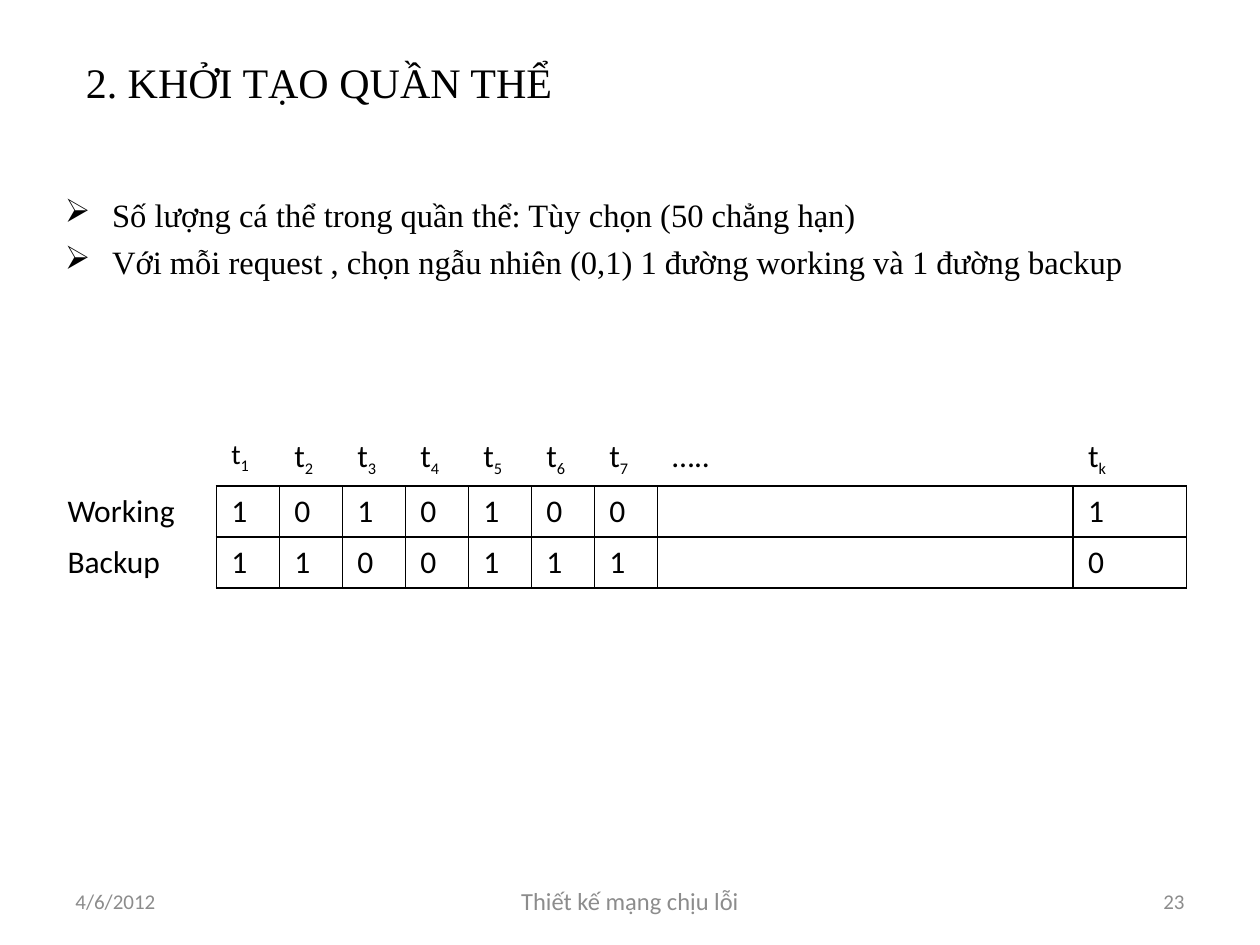
from dataclasses import dataclass

from lxml import etree
from pptx import Presentation
from pptx.dml.color import RGBColor
from pptx.enum.text import MSO_ANCHOR, MSO_AUTO_SIZE, PP_ALIGN
from pptx.oxml.ns import qn
from pptx.util import Pt


@dataclass(frozen=True)
class Theme:
    ink: str = "000000"
    muted: str = "8C8C8C"
    serif: str = "Times New Roman"
    sans: str = "Calibri"
    title: float = 24
    body: float = 18.6
    cell: float = 18
    index: float = 16
    footer: float = 14
    small: float = 12


class SlideBuilder:
    def __init__(self, slide, theme):
        self.slide = slide
        self.theme = theme

    def run(self, paragraph, text, size, font, color, baseline=0):
        run = paragraph.add_run()
        run.text = text
        run.font.size = Pt(size)
        run.font.name = font
        run.font.color.rgb = RGBColor.from_string(color)
        if baseline:
            run.font._element.set("baseline", str(baseline * 1000))

    def title(self, text, left, top, width, height):
        shape = self.slide.shapes.title
        shape.left, shape.top = Pt(left), Pt(top)
        shape.width, shape.height = Pt(width), Pt(height)
        frame = shape.text_frame
        frame.auto_size = MSO_AUTO_SIZE.NONE
        frame.vertical_anchor = MSO_ANCHOR.MIDDLE
        paragraph = frame.paragraphs[0]
        paragraph.alignment = PP_ALIGN.LEFT
        self.run(paragraph, text, self.theme.title, self.theme.serif, self.theme.ink)

    def text_frame(self, left, top, width, height, anchor):
        box = self.slide.shapes.add_textbox(Pt(left), Pt(top), Pt(width), Pt(height))
        box.text_frame.word_wrap = True
        box.text_frame.vertical_anchor = anchor
        return box.text_frame

    def bullets(self, lines, left, top, width, height, indent=27):
        frame = self.text_frame(left, top, width, height, MSO_ANCHOR.TOP)
        for i, line in enumerate(lines):
            paragraph = frame.add_paragraph() if i else frame.paragraphs[0]
            paragraph.space_before = Pt(4.5)
            props = paragraph._p.get_or_add_pPr()
            props.set("marL", str(Pt(indent)))
            props.set("indent", str(-Pt(indent)))
            etree.SubElement(props, qn("a:buChar")).set("char", "➢")
            self.run(paragraph, line, self.theme.body, self.theme.serif, self.theme.ink)

    def footer(self, text, left, width, size, align):
        frame = self.text_frame(left, 500.4, width, 28.8, MSO_ANCHOR.MIDDLE)
        frame.paragraphs[0].alignment = align
        self.run(frame.paragraphs[0], text, size, self.theme.sans, self.theme.muted)

    def borders(self, cell, sides):
        props = cell._tc.get_or_add_tcPr()
        for side in "LRTB":
            line = etree.SubElement(props, qn(f"a:ln{side}"), w=str(Pt(1)))
            if side in sides:
                fill = etree.SubElement(line, qn("a:solidFill"))
                etree.SubElement(fill, qn("a:srgbClr"), val=self.theme.ink)
            else:
                etree.SubElement(line, qn("a:noFill"))

    def table(self, rows, widths, left, top, row_height):
        """Each cell is a (text, subscript, size) tuple; grid lines skip row 0 and column 0."""
        table = self.slide.shapes.add_table(
            len(rows), len(widths), Pt(left), Pt(top),
            Pt(sum(widths)), Pt(row_height * len(rows))).table
        table.first_row = table.horz_banding = False
        for column, width in zip(table.columns, widths):
            column.width = Pt(width)
        for r, row in enumerate(rows):
            table.rows[r].height = Pt(row_height)
            for c, (text, subscript, size) in enumerate(row):
                cell = table.cell(r, c)
                cell.margin_left = cell.margin_right = Pt(8.6)
                cell.margin_top = cell.margin_bottom = Pt(3.6)
                if r and c:
                    self.borders(cell, "LRTB")
                else:
                    self.borders(cell, "R" if r else "B" if c else "")
                cell.fill.background()
                paragraph = cell.text_frame.paragraphs[0]
                paragraph.font.size = Pt(size)
                if text:
                    self.run(paragraph, text, size, self.theme.sans, self.theme.ink)
                if subscript:
                    self.run(paragraph, subscript, self.theme.index,
                             self.theme.sans, self.theme.ink, baseline=-25)


theme = Theme()
deck = Presentation()
deck.slide_width, deck.slide_height = Pt(720), Pt(540)
page = SlideBuilder(deck.slides.add_slide(deck.slide_layouts[5]), theme)

# Title and points
page.title("2. KHỞI TẠO QUẦN THỂ", 41.8, 21.6, 642.2, 50.4)
page.bullets(["Số lượng cá thể trong quần thể: Tùy chọn (50 chẳng hạn)",
              "Với mỗi request , chọn ngẫu nhiên (0,1) 1 đường working và 1 đường backup"],
             30, 108, 648, 54)

# Chromosome table: links t1..tk against the two paths
header = [("", "", theme.cell), ("t", "1", theme.index)]
header += [("t", str(i), theme.cell) for i in range(2, 8)]
header += [("…..", "", theme.cell), ("t", "k", theme.cell)]
paths = {"Working": ("1010100", "1"), "Backup": ("1100111", "0")}
genes = [[(text, "", theme.cell) for text in (name, *bits, "", last)]
         for name, (bits, last) in paths.items()]
page.table([header, *genes], [93.6] + [36] * 7 + [237.6, 64.8], 30, 246.6, 29.2)

# Footer
page.footer("4/6/2012", 36, 168, theme.small, PP_ALIGN.LEFT)
page.footer("Thiết kế mạng chịu lỗi", 246, 228, theme.footer, PP_ALIGN.CENTER)
page.footer("23", 516, 168, theme.small, PP_ALIGN.RIGHT)

deck.save("out.pptx")
